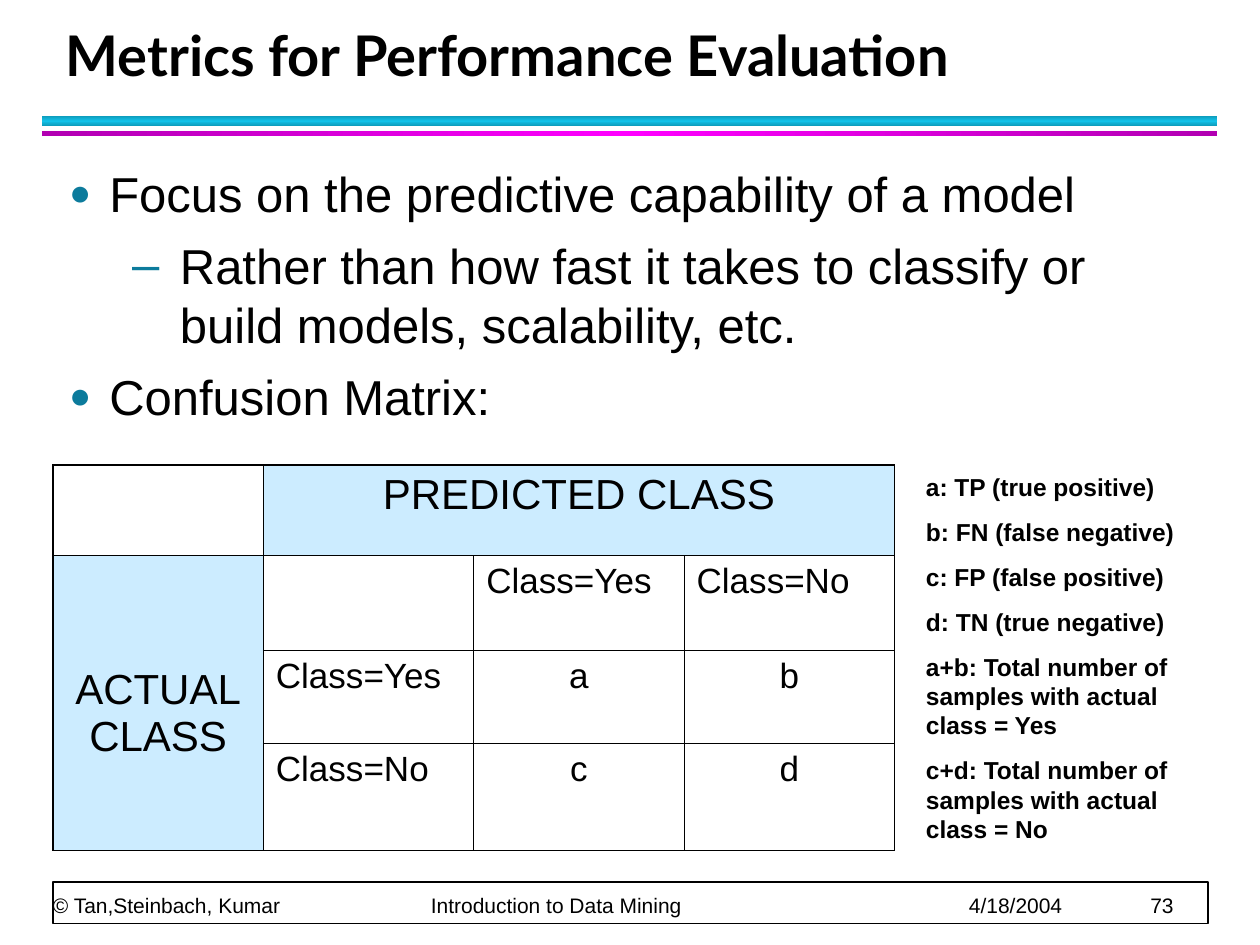
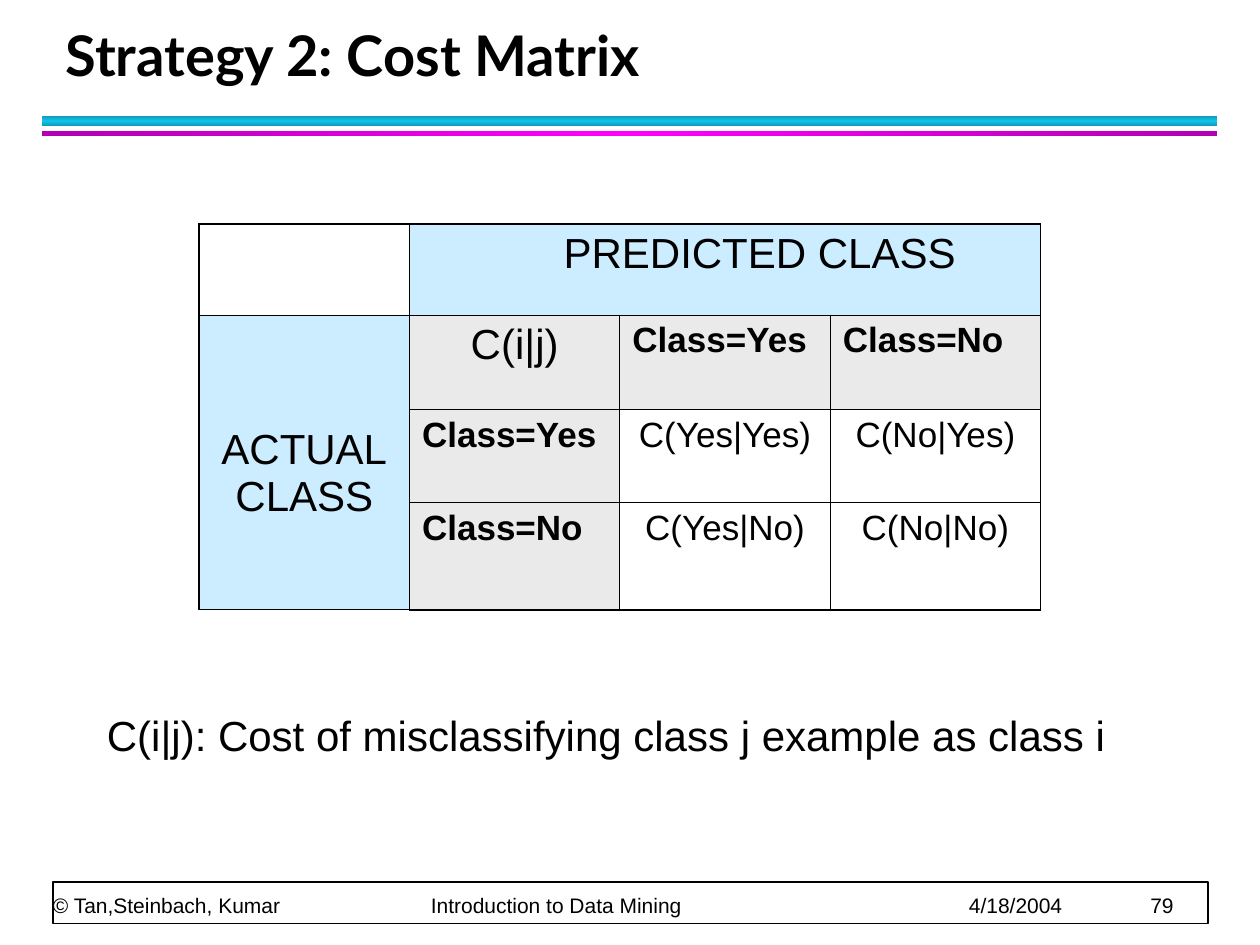
import copy

import pptx
import pptx.dml.color
import pptx.enum.shapes
import pptx.enum.text
import pptx.oxml
import pptx.oxml.ns
import pptx.util

Inches, Pt = pptx.util.Inches, pptx.util.Pt
RGBColor = pptx.dml.color.RGBColor
ALIGN = pptx.enum.text.PP_ALIGN
ANCHOR = pptx.enum.text.MSO_ANCHOR
qn = pptx.oxml.ns.qn

BLACK = RGBColor(0x00, 0x00, 0x00)
WHITE = RGBColor(0xFF, 0xFF, 0xFF)
CYAN_DARK = RGBColor(0x0E, 0x9B, 0xBA)
CYAN = RGBColor(0x12, 0xC2, 0xE9)
MAGENTA_DARK = RGBColor(0xB2, 0x00, 0xB2)
MAGENTA = RGBColor(0xFF, 0x00, 0xFF)
BULLET = RGBColor(0x0C, 0x7B, 0x9C)
CLASS_FILL = RGBColor(0xCC, 0xEC, 0xFF)
HEADER_FILL = RGBColor(0xEA, 0xEA, 0xEA)

BODY_FONT, TITLE_FONT = "Arial", "Lato"
OUTER, INNER = 1.08, 0.45
ROW_HEIGHTS = (0.72, 0.75, 0.74, 0.85)
COLUMN_WIDTH = 1.67


def write(p, text, size, font=BODY_FONT, bold=False, align=ALIGN.LEFT,
          before=None, after=None, line=None):
    p.text = text
    p.alignment = align
    if before is not None:
        p.space_before = Pt(before)
    if after is not None:
        p.space_after = Pt(after)
    if line is not None:
        p.line_spacing = Pt(line)
    for r in p.runs:
        r.font.name, r.font.size, r.font.bold = font, Pt(size), bold
        r.font.color.rgb = BLACK


def next_paragraph(tf, i):
    return tf.add_paragraph() if i else tf.paragraphs[0]


def add_text_frame(s, box):
    tf = s.shapes.add_textbox(*map(Inches, box)).text_frame
    tf.word_wrap = True
    return tf


def add_rectangle(s, box):
    sp = s.shapes.add_shape(pptx.enum.shapes.MSO_SHAPE.RECTANGLE, *map(Inches, box))
    sp.shadow.inherit = False
    return sp


def add_band(s, box, edge, middle, angle):
    sp = add_rectangle(s, box)
    sp.line.fill.background()
    sp.fill.gradient()
    sp.fill.gradient_angle = angle
    stops = sp._element.spPr.find(".//" + qn("a:gsLst"))
    stops.append(copy.deepcopy(stops[0]))
    for stop, position, color in zip(sp.fill.gradient_stops, (0, 0.5, 1),
                                     (edge, middle, edge)):
        stop.position = position
        stop.color.rgb = color


def add_footer(s, box, number):
    left, top, width, height = box
    frame = add_rectangle(s, box)
    frame.fill.solid()
    frame.fill.fore_color.rgb = WHITE
    frame.line.color.rgb = BLACK
    frame.line.width = Pt(1)

    tf = add_text_frame(s, (left, top, width, height - 0.05))
    tf.margin_left = tf.margin_right = tf.margin_top = tf.margin_bottom = 0
    tf.vertical_anchor = ANCHOR.BOTTOM
    p = tf.paragraphs[0]
    tabs = pptx.oxml.parse_xml(f'<a:tabLst {pptx.oxml.ns.nsdecls("a")}/>')
    for position in (3, 7.27, 8.71):
        tab = copy.deepcopy(tabs)
        tab.tag = qn("a:tab")
        tab.set("pos", str(Inches(position)))
        tab.set("algn", "l")
        tabs.append(tab)
    p._p.get_or_add_pPr().append(tabs)
    write(p, f"© Tan,Steinbach, Kumar\tIntroduction to Data Mining\t4/18/2004\t{number}",
          12, line=20)


def add_titled_slide(prs, title, number):
    s = prs.slides.add_slide(prs.slide_layouts[5])
    add_band(s, (0.33, 0.92, 9.33, 0.08), CYAN_DARK, CYAN, 90)
    add_band(s, (0.33, 1.04, 9.33, 0.04), MAGENTA_DARK, MAGENTA, 0)
    add_footer(s, (0.42, 7, 9.17, 0.33), number)
    sp = s.shapes.title
    sp.left, sp.top, sp.width, sp.height = map(Inches, (0.42, 0.17, 9.06, 0.58))
    tf = sp.text_frame
    tf.auto_size = pptx.enum.text.MSO_AUTO_SIZE.NONE
    tf.vertical_anchor = ANCHOR.BOTTOM
    write(tf.paragraphs[0], title, 32, font=TITLE_FONT, bold=True, line=36)
    return s


def set_bullet(p, char, margin, hang, percent):
    pPr = p._p.get_or_add_pPr()
    pPr.set("marL", str(Inches(margin)))
    pPr.set("indent", str(-Inches(hang)))
    ns = pptx.oxml.ns.nsdecls("a")
    for xml in (f'<a:buClr {ns}><a:srgbClr val="{BULLET}"/></a:buClr>',
                f'<a:buSzPct {ns} val="{percent * 1000}"/>',
                f'<a:buFont {ns} typeface="{BODY_FONT}"/>',
                f'<a:buChar {ns} char="{char}"/>'):
        pPr.append(pptx.oxml.parse_xml(xml))


def add_bullets(s, box, items):
    """Items are (level, text) pairs."""
    styles = (("●", 0.32, 0.32, 75), ("–", 0.88, 0.38, 100))
    tf = add_text_frame(s, box)
    for i, (level, text) in enumerate(items):
        p = next_paragraph(tf, i)
        p.level = level
        set_bullet(p, *styles[level])
        write(p, text, 28, before=3.5 if i else 0, after=4)


def add_legend(s, box, lines):
    tf = add_text_frame(s, box)
    for i, text in enumerate(lines):
        write(next_paragraph(tf, i), text, 14, bold=True, before=8.8 if i else 0)


def set_borders(cell, row, column):
    last = len(ROW_HEIGHTS) - 1
    sides = {"L": column == 0, "R": column == last, "T": row == 0, "B": row == last}
    tcPr = cell._tc.get_or_add_tcPr()
    for i, (side, is_outer) in enumerate(sides.items()):
        width = Pt(OUTER if is_outer else INNER)
        tcPr.insert(i, pptx.oxml.parse_xml(
            f'<a:ln{side} {pptx.oxml.ns.nsdecls("a")} w="{width}"><a:solidFill>'
            f'<a:srgbClr val="{BLACK}"/></a:solidFill></a:ln{side}>'))


def add_class_matrix(s, left, top, corner, values, header_fill=WHITE,
                     bold_headers=False, heading_shift=0):
    """Actual against predicted class, with a 2 by 2 block of values."""
    size = len(ROW_HEIGHTS)
    table = s.shapes.add_table(size, size, Inches(left), Inches(top),
                               Inches(COLUMN_WIDTH * size),
                               Inches(sum(ROW_HEIGHTS))).table
    table.first_row = table.horz_banding = False
    for row, height in zip(table.rows, ROW_HEIGHTS):
        row.height = Inches(height)
    for column in table.columns:
        column.width = Inches(COLUMN_WIDTH)

    classes = ("Class=Yes", "Class=No")
    grid = [["", "PREDICTED CLASS", "", ""], ["ACTUAL\vCLASS", corner, *classes]]
    grid += [["", name, *pair] for name, pair in zip(classes, values)]
    for i, texts in enumerate(grid):
        for j, text in enumerate(texts):
            cell = table.cell(i, j)
            is_value = i > 1 and j > 1
            is_class_name = text in classes
            is_axis = (i == 0) != (j == 0)
            cell.fill.solid()
            cell.fill.fore_color.rgb = (CLASS_FILL if is_axis else
                                        WHITE if is_value or i == 0 else header_fill)
            set_borders(cell, i, j)
            if text:
                write(cell.text_frame.paragraphs[0], text,
                      20 if is_value or is_class_name else 24,
                      bold=is_class_name and bold_headers,
                      align=ALIGN.LEFT if is_class_name else ALIGN.CENTER, after=4)

    predicted, actual = table.cell(0, 1), table.cell(1, 0)
    predicted.merge(table.cell(0, size - 1))
    predicted.margin_left = Inches(0.1 + heading_shift)
    actual.merge(table.cell(size - 1, 0))
    actual.vertical_anchor = ANCHOR.MIDDLE
    actual.margin_top = Inches(0.22)


def build_metrics_slide(prs):
    s = add_titled_slide(prs, "Metrics for Performance Evaluation", 73)
    add_bullets(s, (0.45, 1.25, 9.1, 2.3), [
        (0, "Focus on the predictive capability of a model"),
        (1, "Rather than how fast it takes to classify or build models, scalability, etc."),
        (0, "Confusion Matrix:"),
    ])
    add_class_matrix(s, 0.42, 3.69, "", (("a", "b"), ("c", "d")))
    add_legend(s, (7.25, 3.7, 2.42, 3.05), [
        "a: TP (true positive)",
        "b: FN (false negative)",
        "c: FP (false positive)",
        "d: TN (true negative)",
        "a+b: Total number of samples with actual class = Yes",
        "c+d: Total number of samples with actual class = No",
    ])


def build_cost_slide(prs):
    s = add_titled_slide(prs, "Strategy 2: Cost Matrix", 79)
    add_class_matrix(s, 1.58, 1.78, "C(i|j)",
                     (("C(Yes|Yes)", "C(No|Yes)"), ("C(Yes|No)", "C(No|No)")),
                     header_fill=HEADER_FILL, bold_headers=True, heading_shift=0.55)
    tf = add_text_frame(s, (0.75, 5.58, 8.58, 1))
    write(tf.paragraphs[0],
          "C(i|j): Cost of misclassifying class j example as class i", 24)


def main():
    prs = pptx.Presentation()
    prs.slide_width, prs.slide_height = Inches(10), Inches(7.5)
    build_metrics_slide(prs)
    build_cost_slide(prs)
    prs.save("out.pptx")


if __name__ == "__main__":
    main()
